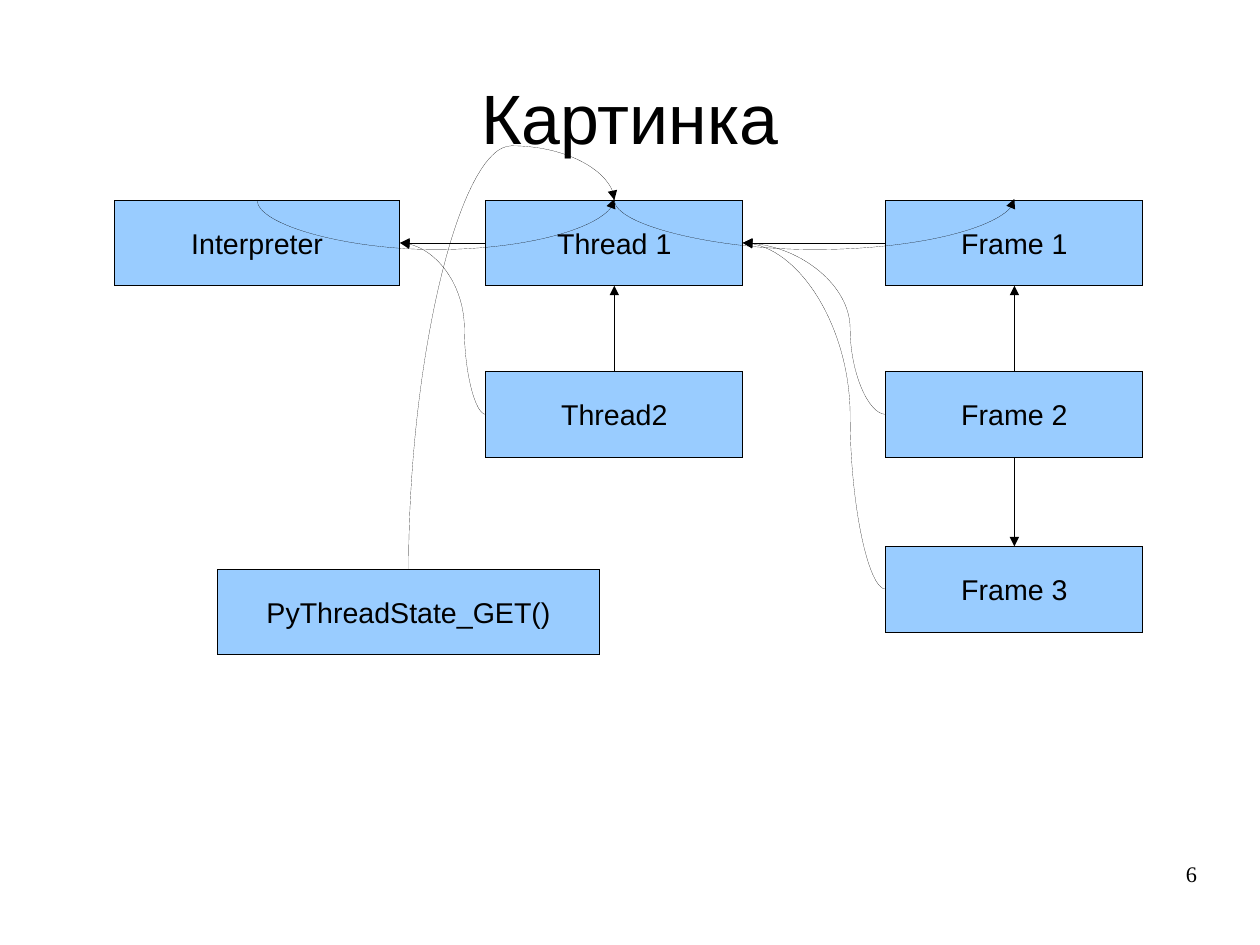
import pptx
import pptx.util
import pptx.dml.color
import pptx.enum.shapes
import pptx.enum.text
import pptx.oxml
import pptx.oxml.ns

BLACK = pptx.dml.color.RGBColor(0x00, 0x00, 0x00)
BLUE = pptx.dml.color.RGBColor(0x99, 0xCC, 0xFF)
ALIGN = pptx.enum.text.PP_ALIGN
ANCHOR = pptx.enum.text.MSO_ANCHOR
KIND = pptx.enum.shapes.MSO_CONNECTOR
CELL = pptx.util.Inches(0.25)
HAIR = pptx.util.Pt(0.01)

deck = pptx.Presentation()
deck.slide_width = pptx.util.Cm(28)
deck.slide_height = pptx.util.Cm(21)
slide = deck.slides.add_slide(deck.slide_layouts[5])
wide, high = deck.slide_width, deck.slide_height


def write(shape, text, size, face, align, anchor, inset=True):
    frame = shape.text_frame
    form = {"word_wrap": True, "vertical_anchor": anchor,
            "auto_size": pptx.enum.text.MSO_AUTO_SIZE.NONE}
    if not inset:
        form.update(dict.fromkeys(
            ("margin_left", "margin_top", "margin_right", "margin_bottom"), 0))
    for name, value in form.items():
        setattr(frame, name, value)
    line = frame.paragraphs[0]
    line.alignment = align
    run = line.add_run()
    run.text = text
    for name, value in {"size": pptx.util.Pt(size), "name": face}.items():
        setattr(run.font, name, value)
    run.font.color.rgb = BLACK


def link(start, end, turn=0, bend=None):
    """Draw an arrow between grid points; turn is the angle of a curve,
    bend the share of its first leg."""
    (x1, y1), (x2, y2) = start, end
    kind = KIND.STRAIGHT if bend is None else KIND.CURVE
    if bend is not None:
        across, down = abs(x2 - x1), abs(y2 - y1)
        if turn == 270:
            across, down = down, across
        mid_x, mid_y = (x1 + x2) / 2, (y1 + y2) / 2
        x1, x2 = mid_x - across / 2, mid_x + across / 2
        y1, y2 = mid_y - down / 2, mid_y + down / 2
    arrow = slide.shapes.add_connector(
        kind, *[round(v * CELL) for v in (x1, y1, x2, y2)])
    arrow.line.color.rgb = BLACK
    arrow.line.width = HAIR
    tag = pptx.oxml.ns.qn
    props = arrow.element.spPr
    stroke = props.find(tag("a:ln"))
    stroke.append(stroke.makeelement(tag("a:tailEnd"), {"type": "triangle"}))
    props.append(props.makeelement(tag("a:effectLst"), {}))
    if bend is not None:
        props.find(tag("a:xfrm")).set("rot", str(turn * 60000))
        guides = props.find(tag("a:prstGeom")).find(tag("a:avLst"))
        guides.append(guides.makeelement(
            tag("a:gd"),
            {"name": "adj1", "fmla": f"val {round(bend * 100000)}"}))


title = slide.shapes.title
place = {"left": 0.05, "top": 0.04, "width": 0.9, "height": 0.167}
for name, share in place.items():
    full = wide if name in ("left", "width") else high
    setattr(title, name, round(share * full))
write(title, "Картинка", 44, "Arial", ALIGN.CENTER, ANCHOR.MIDDLE, False)

# Boxes: column, row and width in grid cells
TALL = 3
boxes = {
    "Interpreter": (4, 7, 10),
    "Thread 1": (17, 7, 9),
    "Thread2": (17, 13, 9),
    "Frame 1": (31, 7, 9),
    "Frame 2": (31, 13, 9),
    "Frame 3": (31, 19.12, 9),
    "PyThreadState_GET()": (7.62, 19.92, 13.36),
}
left, right, top, base = {}, {}, {}, {}
for text, (col, row, span) in boxes.items():
    box = slide.shapes.add_shape(
        pptx.enum.shapes.MSO_SHAPE.RECTANGLE,
        *[round(v * CELL) for v in (col, row, span, TALL)])
    box.shadow.inherit = False
    box.fill.solid()
    box.fill.fore_color.rgb = BLUE
    box.line.color.rgb = BLACK
    box.line.width = HAIR
    write(box, text, 18, "Arial", ALIGN.CENTER, ANCHOR.MIDDLE)
    left[text] = col, row + TALL / 2
    right[text] = col + span, row + TALL / 2
    top[text] = col + span / 2, row
    base[text] = col + span / 2, row + TALL

# Straight arrows
for start, end in (
        (left["Thread 1"], right["Interpreter"]),
        (left["Frame 1"], right["Thread 1"]),
        (top["Thread2"], base["Thread 1"]),
        (top["Frame 2"], base["Frame 1"]),
        (base["Frame 2"], top["Frame 3"])):
    link(start, end)

# Curves back to the owner
for child, owner in (("Thread2", "Interpreter"), ("Frame 2", "Thread 1"),
                     ("Frame 3", "Thread 1")):
    link(left[child], right[owner], 180, 0.25)

# Arcs between tops; a slight rise gives the bend its scale
RISE = 0.04
for start, end in (("Interpreter", "Thread 1"), ("Thread 1", "Frame 1")):
    col, row = top[end]
    link(top[start], (col, row - RISE), 270, -44)
link(top["PyThreadState_GET()"], top["Thread 1"], 270, 1.147)

page = slide.shapes.add_textbox(
    *[round(v) for v in (0.717 * wide, 0.91 * high,
                         0.233 * wide, 0.069 * high)])
write(page, "6", 14, "Times New Roman", ALIGN.RIGHT, ANCHOR.TOP, False)

deck.save("out.pptx")
